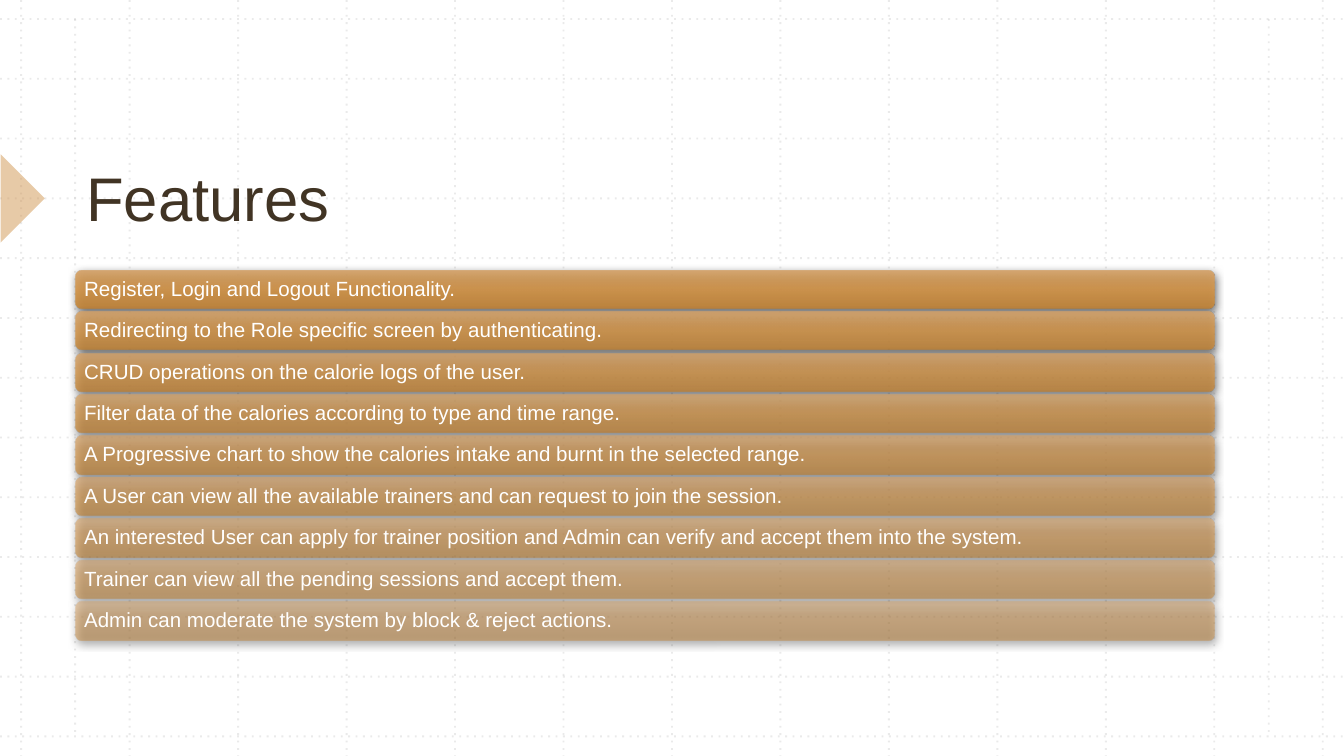
from lxml import etree
from pptx import Presentation
from pptx import util as u
from pptx.dml.color import RGBColor
from pptx.enum import shapes, text
from pptx.oxml import ns, parse_xml

WHITE = RGBColor(0xFF, 0xFF, 0xFF)
BLACK = RGBColor(0, 0, 0)
BROWN = RGBColor(0x41, 0x34, 0x24)
GRID_GREY = RGBColor(0xBC, 0xBC, 0xBC)
ORANGE = RGBColor(0xD1, 0x96, 0x51)
BAR_STOPS = [
    (0, RGBColor(0xD4, 0xA1, 0x67)),
    (50, RGBColor(0xD5, 0x96, 0x49)),
    (100, RGBColor(0xC2, 0x85, 0x39)),
]

WIDTH, HEIGHT = 25.4, 14.29
LEFT, CONTENT_WIDTH = 1.44, 21.52
GRID_LINES = 13
BAR_TOP, LAST_BAR_TOP, BAR_HEIGHT = 5.11, 11.38, 0.72

FEATURES = [
    "Register, Login and Logout Functionality.",
    "Redirecting to the Role specific screen by authenticating.",
    "CRUD operations on the calorie logs of the user.",
    "Filter data of the calories according to type and time range.",
    "A Progressive chart to show the calories intake and burnt in the selected range.",
    "A User can view all the available trainers and can request to join the session.",
    "An interested User can apply for trainer position and Admin can verify and accept them into the system.",
    "Trainer can view all the pending sessions and accept them.",
    "Admin can moderate the system by block & reject actions.",
]


def cm(*lengths):
    return [u.Cm(length) for length in lengths]


def color_xml(color, opacity):
    return f'<a:srgbClr val="{color}"><a:alpha val="{opacity * 1000}"/></a:srgbClr>'


def drawing(tag, content, attributes=""):
    return parse_xml(f'<a:{tag} {ns.nsdecls("a")} {attributes}>{content}</a:{tag}>')


def set_opacity(properties, opacity):
    """Make the first solid colour inside the properties see-through."""
    color = next(properties.iter(ns.qn("a:srgbClr")))
    etree.SubElement(color, ns.qn("a:alpha")).set("val", str(opacity * 1000))


def write(frame, content, *, size, color, inset, font="Arial",
          anchor=text.MSO_ANCHOR.MIDDLE, spacing=None):
    frame.word_wrap = True
    frame.vertical_anchor = anchor
    frame.margin_left, frame.margin_top, frame.margin_right, frame.margin_bottom = cm(*inset)
    paragraph = frame.paragraphs[0]
    paragraph.alignment = text.PP_ALIGN.LEFT
    paragraph.line_spacing = spacing
    run = paragraph.add_run()
    run.text = content
    run.font.name = font
    run.font.size = u.Pt(size)
    run.font.color.rgb = color


class Painter:
    def __init__(self, slide):
        self.slide = slide

    def grid_line(self, x1, y1, x2, y2):
        line = self.slide.shapes.add_connector(
            shapes.MSO_CONNECTOR.STRAIGHT, *cm(x1, y1, x2, y2))
        line.line.width = u.Pt(1)
        line.line.color.rgb = GRID_GREY
        properties = line._element.spPr
        set_opacity(properties, 30)
        properties.find(ns.qn("a:ln")).append(drawing("prstDash", "", 'val="dot"'))
        properties.append(drawing("effectLst", ""))

    def shape(self, kind, left, top, width, height):
        shape = self.slide.shapes.add_shape(kind, *cm(left, top, width, height))
        shape.shadow.inherit = False
        shape.line.fill.background()
        return shape

    def marker(self, left, top, side):
        marker = self.shape(shapes.MSO_SHAPE.RIGHT_TRIANGLE, left, top, side, side)
        marker.rotation = 225
        marker.fill.solid()
        marker.fill.fore_color.rgb = ORANGE
        set_opacity(marker._element.spPr, 50)

    def text_box(self, content, left, top, width, height, **style):
        box = self.slide.shapes.add_textbox(*cm(left, top, width, height))
        write(box.text_frame, content, **style)

    def bar(self, content, top, opacity):
        bar = self.shape(shapes.MSO_SHAPE.ROUNDED_RECTANGLE,
                         LEFT, top, CONTENT_WIDTH, BAR_HEIGHT)
        stops = "".join(f'<a:gs pos="{position * 1000}">{color_xml(color, opacity)}</a:gs>'
                        for position, color in BAR_STOPS)
        gradient = drawing("gradFill", f'<a:gsLst>{stops}</a:gsLst><a:lin ang="5400000" scaled="0"/>')
        properties = bar._element.spPr
        properties.find(ns.qn("a:prstGeom")).addnext(gradient)
        shadow = drawing("outerShdw", color_xml(BLACK, 63),
                         f'blurRad="{u.Pt(4.5)}" dist="{u.Pt(1.5)}" dir="5400000" rotWithShape="0"')
        properties.find(ns.qn("a:effectLst")).append(shadow)
        self.text_box(content, LEFT + 0.04, top + 0.04, CONTENT_WIDTH - 0.08, BAR_HEIGHT - 0.08,
                      size=11, color=WHITE, inset=[0.11] * 4, spacing=0.9)


def main():
    presentation = Presentation()
    presentation.slide_width, presentation.slide_height = cm(WIDTH, HEIGHT)
    slide = presentation.slides.add_slide(presentation.slide_layouts[6])
    slide.background.fill.solid()
    slide.background.fill.fore_color.rgb = WHITE
    painter = Painter(slide)

    for index in range(GRID_LINES):
        x, y = 0.4 + 2.05 * index, 0.36 + 1.13 * index
        painter.grid_line(x, 0, x, HEIGHT)
        painter.grid_line(0, y, WIDTH, y)
    for x in (1.42, WIDTH - 1.42):
        painter.grid_line(x, 0.36, x, 13.92)

    painter.marker(-0.58, 3.16, 1.18)
    painter.text_box("Features", LEFT, 1.52, CONTENT_WIDTH, 3, size=33, color=BROWN,
                     inset=[0.19, 0.1, 0.19, 0.1], anchor=text.MSO_ANCHOR.BOTTOM)

    pitch = (LAST_BAR_TOP - BAR_TOP) / (len(FEATURES) - 1)
    for index, feature in enumerate(FEATURES):
        painter.bar(feature, BAR_TOP + pitch * index, 90 - 5 * index)

    presentation.save("out.pptx")


if __name__ == "__main__":
    main()
